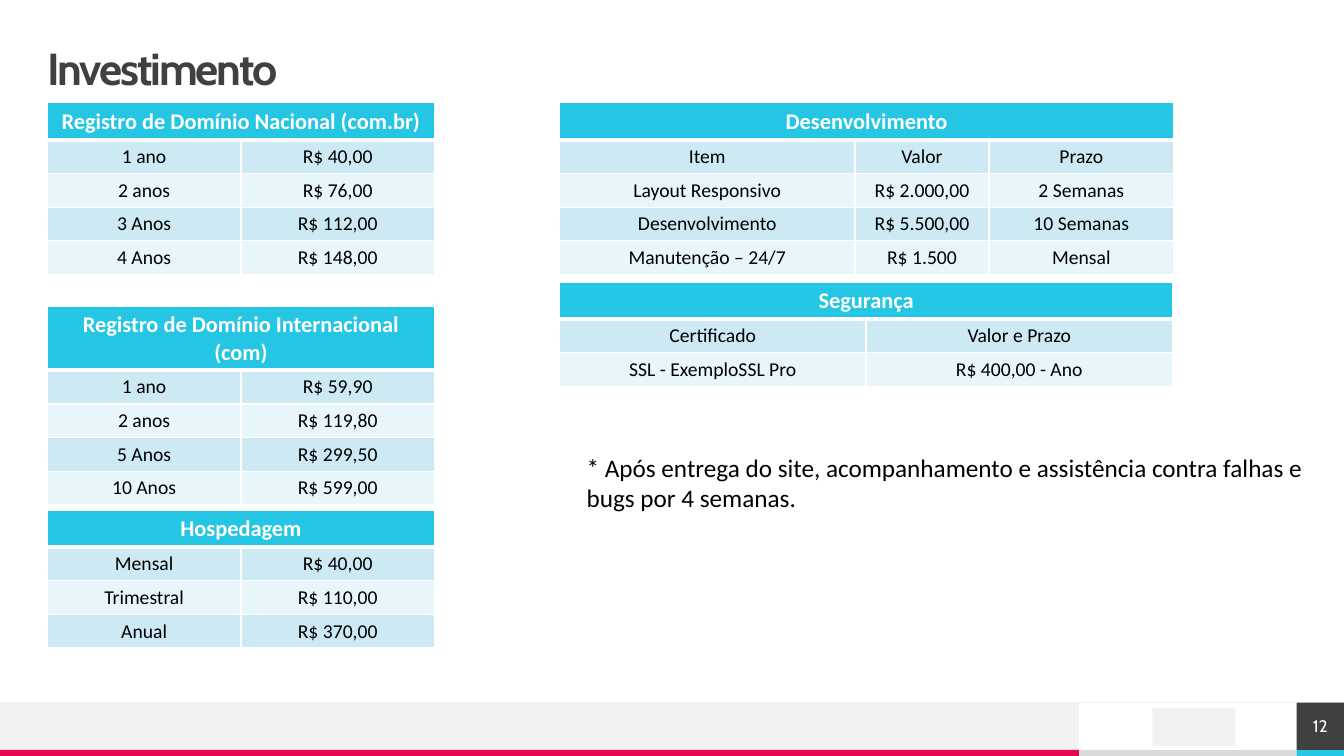
from dataclasses import dataclass

from lxml import etree
from pptx import Presentation, util as u
from pptx.dml.color import RGBColor
from pptx.enum import shapes, text
from pptx.oxml import ns

CYAN = RGBColor(0x25, 0xC6, 0xE3)
PINK = RGBColor(0xE8, 0x05, 0x54)
DARK = RGBColor(0x40, 0x40, 0x40)
SILVER = RGBColor(0xDA, 0xDA, 0xDA)
PALE = RGBColor(0xF2, 0xF2, 0xF2)
WHITE = RGBColor(0xFF, 0xFF, 0xFF)
BLACK = RGBColor(0, 0, 0)
BANDS = (RGBColor(0xCD, 0xEA, 0xF4), RGBColor(0xE8, 0xF5, 0xFA))

SLIDE_WIDTH, SLIDE_HEIGHT = 13.33, 7.5
FOOTER_TOP, STRIPE_TOP = 6.97, 7.44
GRAY_RIGHT, NUMBER_LEFT = 10.7, 12.86
LEFT_COLUMN, RIGHT_COLUMN = 0.47, 5.55


@dataclass(frozen=True)
class Block:
    left: float
    top: float
    right: float
    bottom: float
    color: RGBColor


@dataclass(frozen=True)
class Style:
    size: float
    color: RGBColor
    name: str = "Calibri"
    bold: bool = False
    spacing: float = 0


@dataclass(frozen=True)
class PriceTable:
    title: str
    left: float
    top: float
    columns: tuple[float, ...]
    rows: tuple[tuple[str, ...], ...]
    header_height: float = 0.25
    row_height: float = 0.25


FOOTER_BLOCKS = (
    Block(GRAY_RIGHT, STRIPE_TOP, NUMBER_LEFT, SLIDE_HEIGHT, SILVER),
    Block(0, FOOTER_TOP, GRAY_RIGHT, STRIPE_TOP, PALE),
    Block(11.43, 7.02, 12.25, 7.4, PALE),
    Block(0, STRIPE_TOP, GRAY_RIGHT, SLIDE_HEIGHT, PINK),
    Block(NUMBER_LEFT, STRIPE_TOP, SLIDE_WIDTH, SLIDE_HEIGHT, CYAN),
)
NUMBER_BLOCK = Block(NUMBER_LEFT, FOOTER_TOP, SLIDE_WIDTH, STRIPE_TOP, DARK)

HEADER_STYLE = Style(16, WHITE, bold=True)
BODY_STYLE = Style(14, BLACK)

PRICE_TABLES = (
    PriceTable("Registro de Domínio Nacional (com.br)", LEFT_COLUMN, 1.02, (1.92, 1.92), (
        ("1 ano", "R$ 40,00"),
        ("2 anos", "R$ 76,00"),
        ("3 Anos", "R$ 112,00"),
        ("4 Anos", "R$ 148,00"),
    )),
    PriceTable("Registro de Domínio Internacional (com)", LEFT_COLUMN, 3.04, (1.92, 1.92), (
        ("1 ano", "R$ 59,90"),
        ("2 anos", "R$ 119,80"),
        ("5 Anos", "R$ 299,50"),
        ("10 Anos", "R$ 599,00"),
    ), header_height=0.42, row_height=0.3),
    PriceTable("Hospedagem", LEFT_COLUMN, 5.06, (1.92, 1.92), (
        ("Mensal", "R$ 40,00"),
        ("Trimestral", "R$ 110,00"),
        ("Anual", "R$ 370,00"),
    ), header_height=0),
    PriceTable("Desenvolvimento", RIGHT_COLUMN, 1.02, (2.93, 1.33, 1.83), (
        ("Item", "Valor", "Prazo"),
        ("Layout Responsivo", "R$ 2.000,00", "2 Semanas"),
        ("Desenvolvimento", "R$ 5.500,00", "10 Semanas"),
        ("Manutenção – 24/7", "R$ 1.500", "Mensal"),
    )),
    PriceTable("Segurança", RIGHT_COLUMN, 2.8, (3.04, 3.04), (
        ("Certificado", "Valor e Prazo"),
        ("SSL - ExemploSSL Pro", "R$ 400,00 - Ano"),
    )),
)


def add_run(paragraph, words: str, style: Style) -> None:
    run = paragraph.add_run()
    run.text = words
    formats = {"size": u.Pt(style.size), "name": style.name, "bold": style.bold}
    for attribute, value in formats.items():
        setattr(run.font, attribute, value)
    run.font.color.rgb = style.color
    if style.spacing:
        run._r.get_or_add_rPr().set("spc", str(round(style.spacing * 100)))


def set_frame(frame, margins: tuple[float, ...], anchor) -> None:
    left, top, right, bottom = map(u.Inches, margins)
    formats = {"margin_left": left, "margin_top": top, "margin_right": right,
               "margin_bottom": bottom, "word_wrap": True, "vertical_anchor": anchor}
    for attribute, value in formats.items():
        setattr(frame, attribute, value)


def add_text(slide, left: float, top: float, width: float, height: float,
             margins: tuple[float, ...], anchor):
    """Add a text box and return its first paragraph."""
    box = slide.shapes.add_textbox(*map(u.Inches, (left, top, width, height)))
    set_frame(box.text_frame, margins, anchor)
    return box.text_frame.paragraphs[0]


def add_block(slide, block: Block):
    shape = slide.shapes.add_shape(
        shapes.MSO_SHAPE.RECTANGLE, u.Inches(block.left), u.Inches(block.top),
        u.Inches(block.right - block.left), u.Inches(block.bottom - block.top))
    shape.shadow.inherit = False
    shape.fill.solid()
    shape.fill.fore_color.rgb = block.color
    shape.line.fill.background()
    return shape


def add_footer_line(slide) -> None:
    line = slide.shapes.add_connector(
        shapes.MSO_CONNECTOR.STRAIGHT, u.Inches(SLIDE_WIDTH), u.Inches(FOOTER_TOP),
        u.Inches(0), u.Inches(FOOTER_TOP))
    line.line.color.rgb = PALE
    line.line.width = u.Pt(0.5)
    etree.SubElement(line._element.spPr, ns.qn("a:effectLst"))


def set_borders(cell, bottom_width: float) -> None:
    properties = cell._tc.get_or_add_tcPr()
    for side, width in {"L": 1, "R": 1, "T": 1, "B": bottom_width}.items():
        border = etree.SubElement(properties, ns.qn(f"a:ln{side}"), w=str(u.Pt(width)))
        fill = etree.SubElement(border, ns.qn("a:solidFill"))
        etree.SubElement(fill, ns.qn("a:srgbClr"), val=str(WHITE))


def add_price_table(slide, price_table: PriceTable) -> None:
    column_count, row_count = len(price_table.columns), len(price_table.rows)
    height = price_table.header_height + price_table.row_height * row_count
    table = slide.shapes.add_table(
        row_count + 1, column_count, u.Inches(price_table.left), u.Inches(price_table.top),
        u.Inches(sum(price_table.columns)), u.Inches(height)).table
    for column, width in zip(table.columns, price_table.columns):
        column.width = u.Inches(width)
    table.cell(0, 0).merge(table.cell(0, column_count - 1))
    header = (price_table.title,) + ("",) * (column_count - 1)
    for row_index, values in enumerate((header, *price_table.rows)):
        is_header = row_index == 0
        row_height = price_table.header_height if is_header else price_table.row_height
        table.rows[row_index].height = u.Inches(row_height)
        for column_index, value in enumerate(values):
            cell = table.cell(row_index, column_index)
            set_borders(cell, 3 if is_header else 1)
            cell.fill.solid()
            cell.fill.fore_color.rgb = CYAN if is_header else BANDS[(row_index - 1) % 2]
            if value:
                paragraph = cell.text_frame.paragraphs[0]
                paragraph.alignment = text.PP_ALIGN.CENTER
                add_run(paragraph, value, HEADER_STYLE if is_header else BODY_STYLE)


def add_footer(slide) -> None:
    for block in FOOTER_BLOCKS:
        add_block(slide, block)
    add_footer_line(slide)
    frame = add_block(slide, NUMBER_BLOCK).text_frame
    set_frame(frame, (0, 0, 0, 0), text.MSO_ANCHOR.MIDDLE)
    frame.paragraphs[0].alignment = text.PP_ALIGN.CENTER
    add_run(frame.paragraphs[0], "12", Style(12, WHITE, "Cabin"))


def main() -> None:
    presentation = Presentation()
    presentation.slide_width = u.Inches(SLIDE_WIDTH)
    presentation.slide_height = u.Inches(SLIDE_HEIGHT)
    slide = presentation.slides.add_slide(presentation.slide_layouts[6])

    add_footer(slide)
    title = add_text(slide, LEFT_COLUMN, 0.47, 12.4, 0.47, (0, 0, 0, 0),
                     text.MSO_ANCHOR.MIDDLE)
    title.line_spacing = 0.9
    add_run(title, "Investimento", Style(32, DARK, "Cabin", True, -1.5))
    for price_table in PRICE_TABLES:
        add_price_table(slide, price_table)
    note = add_text(slide, 5.72, 4.44, 7.54, 0.71, (0.1, 0.05, 0.1, 0.05),
                    text.MSO_ANCHOR.TOP)
    add_run(note, "* Após entrega do site, acompanhamento e assistência contra falhas e "
                  "bugs por 4 semanas.", Style(18, BLACK))
    presentation.save("out.pptx")


if __name__ == "__main__":
    main()
